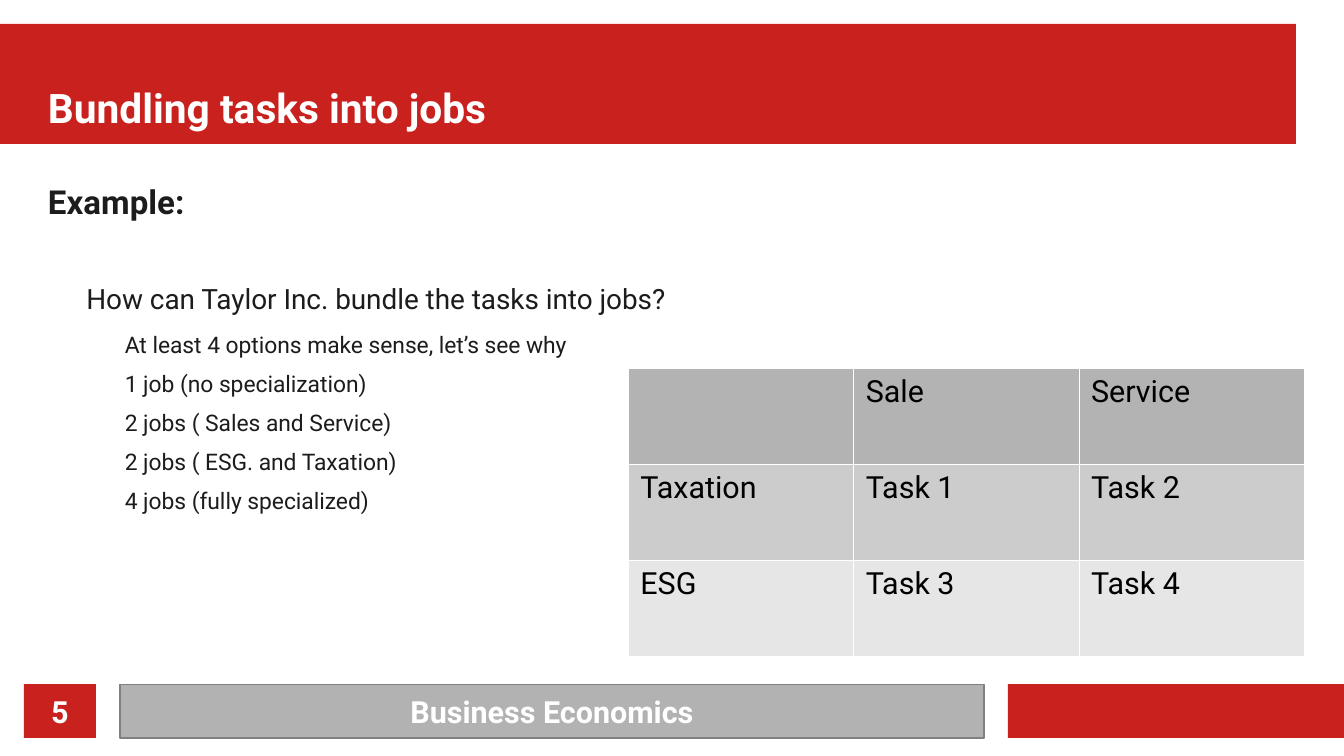
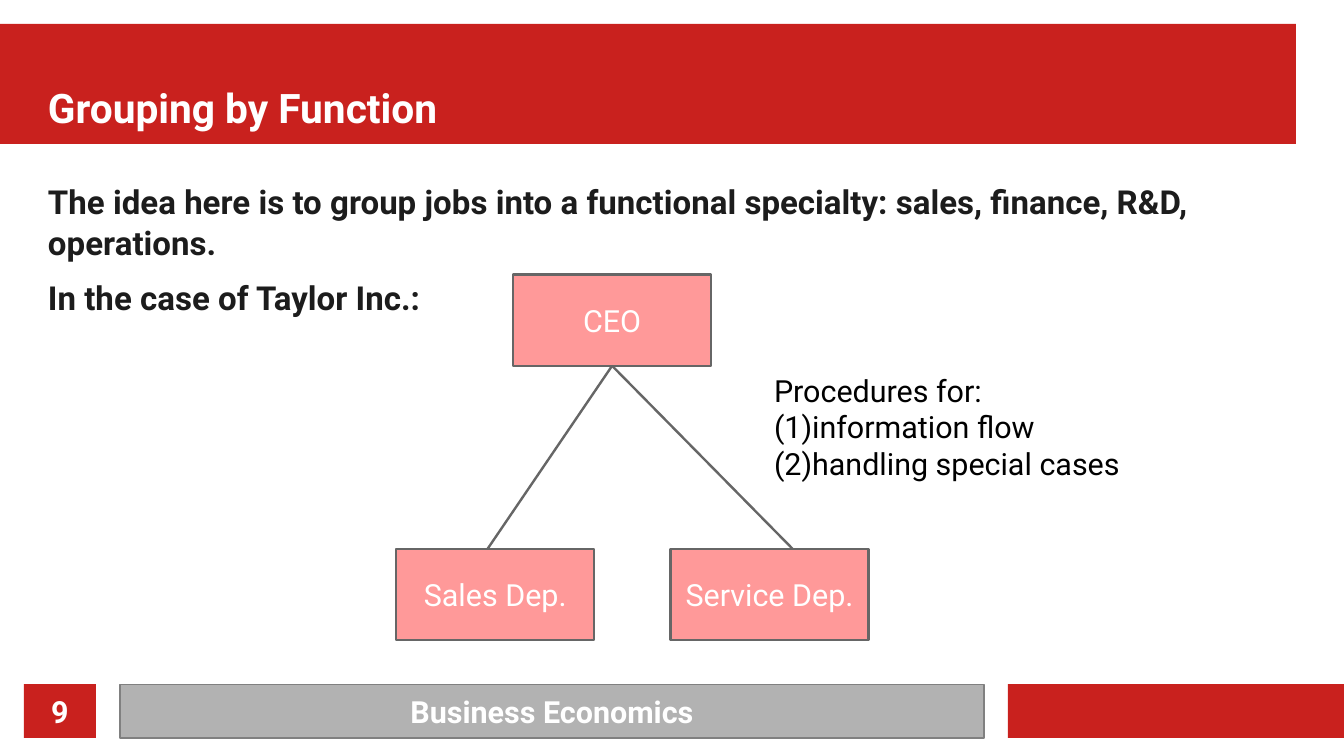
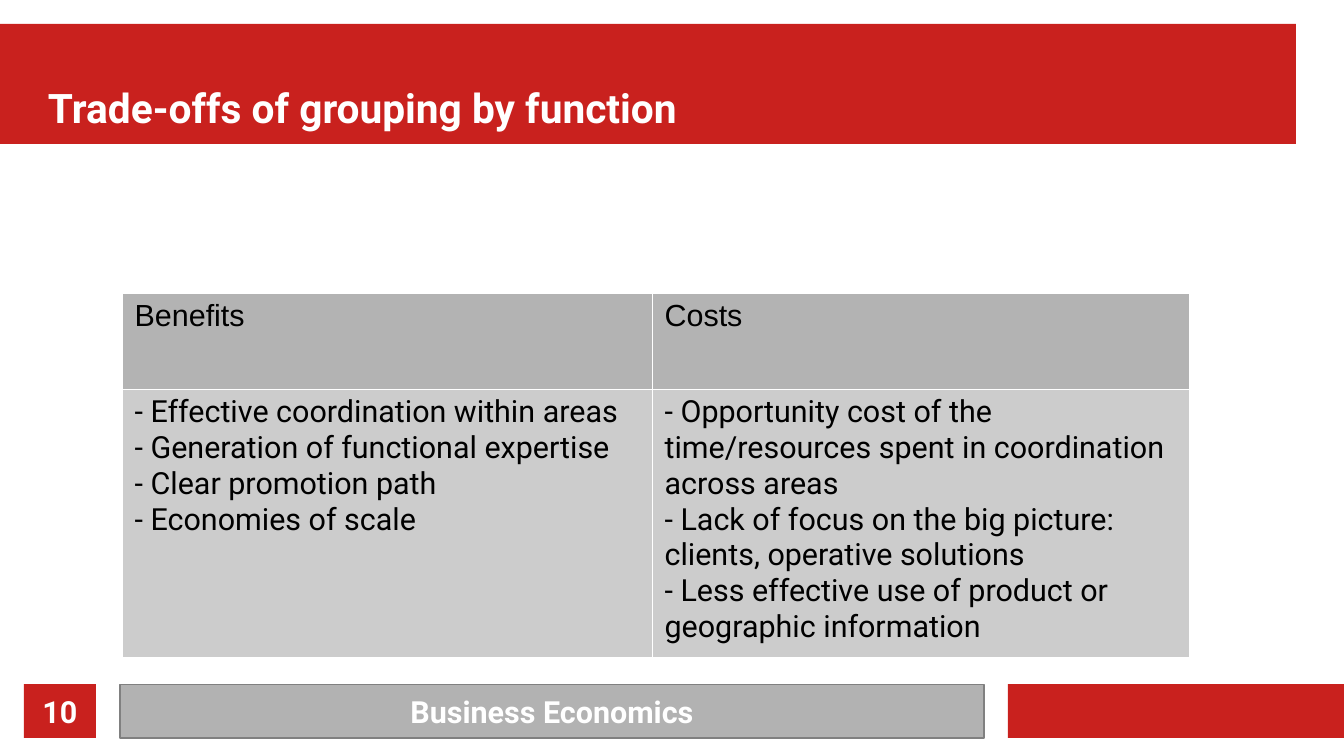
from dataclasses import dataclass
from typing import Optional

from lxml import etree
from pptx import Presentation
from pptx.dml.color import RGBColor
from pptx.enum import shapes, text
from pptx.oxml import ns
from pptx.util import Pt


@dataclass(frozen=True)
class Theme:
    font: str = "Roboto"
    plain_font: str = "Arial"
    red: str = "C9211E"
    grey: str = "B2B2B2"
    grey_edge: str = "808080"
    white: str = "FFFFFF"
    black: str = "000000"
    ink: str = "1C1C1C"
    node_fill: str = "FF0000"
    node_opacity: int = 40
    node_line: str = "666666"
    node_line_width: float = 1.42
    row_fills: tuple[str, ...] = ("B3B3B3", "CCCCCC", "E6E6E6")
    cell_border_width: float = 0.06
    title_size: float = 24
    text_size: float = 18


@dataclass(frozen=True)
class Box:
    left: float
    top: float
    width: float
    height: float

    def lengths(self) -> tuple[Pt, Pt, Pt, Pt]:
        return Pt(self.left), Pt(self.top), Pt(self.width), Pt(self.height)


@dataclass(frozen=True)
class Band:
    box: Box
    fill: str
    line: Optional[str] = None


@dataclass(frozen=True)
class Level:
    size: float
    bold: bool
    indent: float
    space_after: float


@dataclass(frozen=True)
class Item:
    text: str
    level: int = 0
    space_before: float = 0


@dataclass(frozen=True)
class Node:
    label: str
    left: float
    top: float


THEME = Theme()
SLIDE_WIDTH, SLIDE_HEIGHT = 793.7, 446.4
FOOTER_TOP, FOOTER_HEIGHT = 404, 31.8
FOOTER_BOX = Box(70.87, FOOTER_TOP, 510.24, FOOTER_HEIGHT)
NUMBER_BOX = Box(-14.17, FOOTER_TOP, 99.21, FOOTER_HEIGHT)
TITLE_BOX = Box(28.35, 21.26, 737, 56.69)
BANDS = (
    Band(Box(0, 14.17, 765.35, 70.87), THEME.red),
    Band(Box(595.28, FOOTER_TOP, 198.43, FOOTER_HEIGHT), THEME.red),
    Band(FOOTER_BOX, THEME.grey, THEME.grey_edge),
    Band(Box(14.17, FOOTER_TOP, 42.52, FOOTER_HEIGHT), THEME.red),
)
LEVELS = (
    Level(19.5, True, 0, 8.5),
    Level(16.5, False, 22.68, 8.5),
    Level(13.5, False, 45.35, 6.3),
)
BODY_LINE_SPACING = 1.03
ROW_HEIGHT = 56.69
NODE_WIDTH, NODE_HEIGHT = 117, 54


def rgb(value: str) -> RGBColor:
    return RGBColor.from_string(value)


def format_runs(paragraph, size: float, color: str, bold: bool = False,
                font: str = THEME.font) -> None:
    for run in paragraph.runs:
        run.font.name = font
        run.font.size = Pt(size)
        run.font.bold = bold
        run.font.color.rgb = rgb(color)


def set_insets(frame, horizontal: float, vertical: float) -> None:
    frame.margin_left = frame.margin_right = Pt(horizontal)
    frame.margin_top = frame.margin_bottom = Pt(vertical)


def place(shape, box: Box) -> None:
    shape.left, shape.top, shape.width, shape.height = box.lengths()


def add_rectangle(slide, box: Box, fill: str):
    shape = slide.shapes.add_shape(shapes.MSO_SHAPE.RECTANGLE, *box.lengths())
    shape.shadow.inherit = False
    shape.fill.solid()
    shape.fill.fore_color.rgb = rgb(fill)
    return shape


def add_master_bands(presentation, slide) -> None:
    """Draw the bands on a slide and move them behind everything on the master."""
    master_tree = presentation.slide_master.shapes.element
    for index, band in enumerate(BANDS):
        shape = add_rectangle(slide, band.box, band.fill)
        if band.line:
            shape.line.color.rgb = rgb(band.line)
            shape.line.width = Pt(0)
        else:
            shape.line.fill.background()
        shape.element.nvSpPr.cNvPr.set("id", str(20 + index))
        master_tree.insert(2 + index, shape.element)


def add_footer_text(slide, box: Box, label: str) -> None:
    frame = slide.shapes.add_textbox(*box.lengths()).text_frame
    frame.word_wrap = True
    frame.vertical_anchor = text.MSO_ANCHOR.MIDDLE
    set_insets(frame, 0, 0)
    frame.text = label
    paragraph = frame.paragraphs[0]
    paragraph.alignment = text.PP_ALIGN.CENTER
    format_runs(paragraph, THEME.text_size, THEME.white, bold=True)


def add_slide(presentation, layout_name: str, title: str, number: int):
    layout = presentation.slide_layouts.get_by_name(layout_name)
    slide = presentation.slides.add_slide(layout)
    heading = slide.shapes.title
    place(heading, TITLE_BOX)
    frame = heading.text_frame
    frame.auto_size = text.MSO_AUTO_SIZE.NONE
    frame.vertical_anchor = text.MSO_ANCHOR.BOTTOM
    set_insets(frame, 0, 0)
    frame.text = title
    frame.paragraphs[0].alignment = text.PP_ALIGN.LEFT
    format_runs(frame.paragraphs[0], THEME.title_size, THEME.white, bold=True)
    add_footer_text(slide, FOOTER_BOX, "Business Economics")
    add_footer_text(slide, NUMBER_BOX, str(number))
    return slide


def fill_body(slide, height: float, items: list[Item]) -> None:
    body = slide.placeholders[1]
    place(body, Box(28.35, 106.3, 722.83, height))
    frame = body.text_frame
    frame.auto_size = text.MSO_AUTO_SIZE.NONE
    set_insets(frame, 0, 0)
    frame.text = "\n".join(item.text for item in items)
    for paragraph, item in zip(frame.paragraphs, items):
        level = LEVELS[item.level]
        paragraph.level = item.level
        properties = paragraph._p.get_or_add_pPr()
        properties.set("marL", str(Pt(level.indent)))
        properties.set("indent", "0")
        etree.SubElement(properties, ns.qn("a:buNone"))
        paragraph.line_spacing = BODY_LINE_SPACING
        paragraph.space_before = Pt(item.space_before)
        paragraph.space_after = Pt(level.space_after)
        format_runs(paragraph, level.size, THEME.ink, level.bold)


def set_borders(cell) -> None:
    properties = cell._tc.get_or_add_tcPr()
    for side in ("a:lnL", "a:lnR", "a:lnT", "a:lnB"):
        line = etree.SubElement(properties, ns.qn(side),
                                w=str(Pt(THEME.cell_border_width)))
        fill = etree.SubElement(line, ns.qn("a:solidFill"))
        etree.SubElement(fill, ns.qn("a:srgbClr"), val=THEME.white)


def add_grid(slide, left: float, top: float, column_widths: list[float],
             row_heights: list[float], rows: list[list[str]],
             header_font: str = THEME.font) -> None:
    box = Box(left, top, sum(column_widths), sum(row_heights))
    table = slide.shapes.add_table(
        len(rows), len(column_widths), *box.lengths()).table
    table.first_row = table.horz_banding = False
    for column, width in zip(table.columns, column_widths):
        column.width = Pt(width)
    for index, (row, height) in enumerate(zip(table.rows, row_heights)):
        row.height = Pt(height)
        for cell, content in zip(row.cells, rows[index]):
            set_borders(cell)
            cell.fill.solid()
            cell.fill.fore_color.rgb = rgb(THEME.row_fills[index])
            cell.text_frame.text = content
            for paragraph in cell.text_frame.paragraphs:
                format_runs(paragraph, THEME.text_size, THEME.black,
                            font=THEME.font if index else header_font)


def add_node(slide, node: Node):
    shape = add_rectangle(
        slide, Box(node.left, node.top, NODE_WIDTH, NODE_HEIGHT), THEME.node_fill)
    color = shape.element.spPr.find(
        f"{ns.qn('a:solidFill')}/{ns.qn('a:srgbClr')}")
    etree.SubElement(color, ns.qn("a:alpha"), val=str(THEME.node_opacity * 1000))
    shape.line.color.rgb = rgb(THEME.node_line)
    shape.line.width = Pt(THEME.node_line_width)
    frame = shape.text_frame
    frame.word_wrap = False
    frame.vertical_anchor = text.MSO_ANCHOR.MIDDLE
    frame.text = node.label
    frame.paragraphs[0].alignment = text.PP_ALIGN.CENTER
    format_runs(frame.paragraphs[0], THEME.text_size, THEME.white)
    return shape


def add_branch(slide, parent, end_x: float, end_y: float) -> None:
    """Draw a line from the parent's bottom middle to a point."""
    connector = slide.shapes.add_connector(
        shapes.MSO_CONNECTOR.STRAIGHT, Pt(360), Pt(216), Pt(end_x), Pt(end_y))
    connector.begin_connect(parent, 2)
    connector.line.color.rgb = rgb(THEME.node_line)
    connector.line.width = Pt(THEME.node_line_width)
    etree.SubElement(connector.element.spPr, ns.qn("a:effectLst"))


def add_note(slide, box: Box, lines: list[str]) -> None:
    frame = slide.shapes.add_textbox(*box.lengths()).text_frame
    frame.word_wrap = True
    frame.auto_size = text.MSO_AUTO_SIZE.SHAPE_TO_FIT_TEXT
    frame.text = "\n".join(lines)
    for paragraph in frame.paragraphs:
        format_runs(paragraph, THEME.text_size, THEME.black)


def build_bundling(presentation) -> None:
    slide = add_slide(presentation, "Title and Content",
                      "Bundling tasks into jobs", 5)
    add_master_bands(presentation, slide)
    fill_body(slide, 276.5, [
        Item("Example:"),
        Item("How can Taylor Inc. bundle the tasks into jobs?", 1, 27),
        Item("At least 4 options make sense, let’s see why", 2),
        Item("1 job (no specialization)", 2),
        Item("2 jobs ( Sales and Service)", 2),
        Item("2 jobs ( ESG. and Taxation)", 2),
        Item("4 jobs (fully specialized)", 2),
    ])
    add_grid(slide, 371, 217.5, [133.1] * 3, [ROW_HEIGHT] * 3, [
        ["", "Sale", "Service"],
        ["Taxation", "Task 1", "Task 2"],
        ["ESG", "Task 3", "Task 4"],
    ])


def build_grouping(presentation) -> None:
    slide = add_slide(presentation, "Title and Content",
                      "Grouping by Function", 9)
    fill_body(slide, 91.4, [
        Item("The idea here is to group jobs into a functional specialty: "
             "sales, finance, R&D, operations."),
        Item("In the case of Taylor Inc.:"),
    ])
    department_top = 324
    chief = add_node(slide, Node("CEO", 303, 162))
    add_node(slide, Node("Service Dep.", 396, department_top))
    add_node(slide, Node("Sales Dep.", 234, department_top))
    for end_x in (468, 288):
        add_branch(slide, chief, end_x, department_top)
    add_note(slide, Box(450, 216, 234, 72), [
        "Procedures for:",
        "(1)information flow",
        "(2)handling special cases",
    ])


def build_trade_offs(presentation) -> None:
    slide = add_slide(presentation, "Title Only",
                      "Trade-offs of grouping by function", 10)
    benefits = "\n".join((
        "- Effective coordination within areas",
        "- Generation of functional expertise",
        "- Clear promotion path",
        "- Economies of scale",
    ))
    costs = "\n".join((
        "- Opportunity cost of the time/resources spent in coordination across areas",
        "- Lack of focus on the big picture: clients, operative solutions",
        "- Less effective use of product or geographic information",
    ))
    add_grid(slide, 72.3, 172.8, [313, 317], [ROW_HEIGHT, 148.5],
             [["Benefits", "Costs"], [benefits, costs]], THEME.plain_font)


def main() -> None:
    presentation = Presentation()
    presentation.slide_width = Pt(SLIDE_WIDTH)
    presentation.slide_height = Pt(SLIDE_HEIGHT)
    build_bundling(presentation)
    build_grouping(presentation)
    build_trade_offs(presentation)
    presentation.save("out.pptx")


if __name__ == "__main__":
    main()
